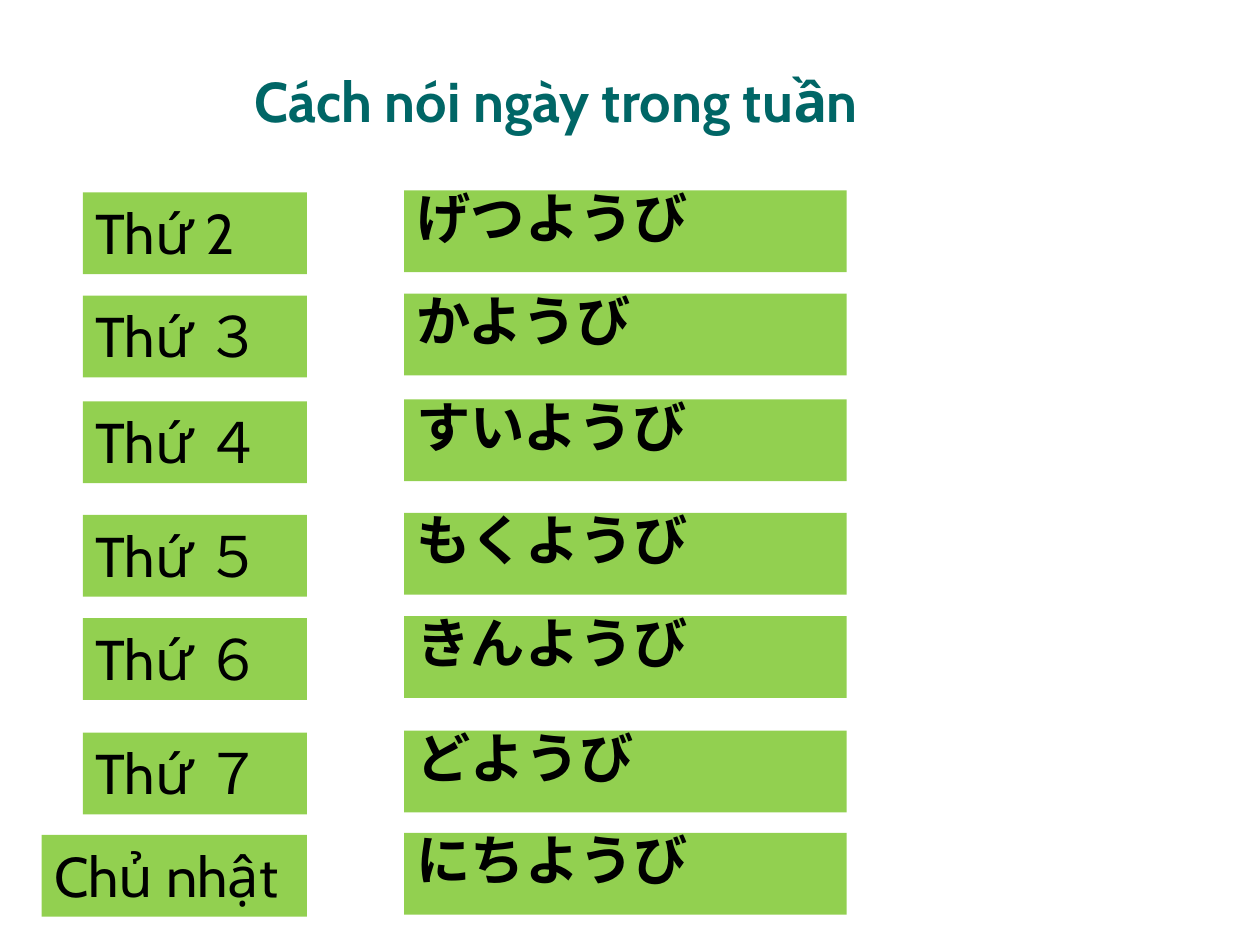
import pptx
import pptx.dml.color
import pptx.enum.shapes
import pptx.enum.text
import pptx.oxml.ns
import pptx.util
from lxml import etree

Cm = pptx.util.Cm
Pt = pptx.util.Pt

COLORS = {"title": "006666", "box": "92D050", "text": "000000"}
LATIN_FONT = "Cabin"
JAPANESE_FONT = "Noto Sans CJK JP"

# Top of each row in cm, Vietnamese day, Japanese day
DAYS = [
    (3.84, "Thứ 2", "げつようび"),
    (5.92, "Thứ ３", "かようび"),
    (8.05, "Thứ ４", "すいようび"),
    (10.34, "Thứ ５", "もくようび"),
    (12.42, "Thứ ６", "きんようび"),
    (14.73, "Thứ ７", "どようび"),
    (16.79, "Chủ nhật", "にちようび"),
]
ROW_HEIGHT = 1.65
VIETNAMESE_RIGHT = 6.19
VIETNAMESE_WIDTH = 4.52
SUNDAY_WIDTH = 5.35
VIETNAMESE_DROP = 0.04
JAPANESE_LEFT = 8.15
JAPANESE_WIDTH = 8.92


def rgb(name):
    return pptx.dml.color.RGBColor.from_string(COLORS[name])


def write_text(shape, text, size, font_name, color, bold=False):
    """Fill the shape with one left-aligned paragraph and return it."""
    shape.text_frame.word_wrap = True
    paragraph = shape.text_frame.paragraphs[0]
    paragraph.alignment = pptx.enum.text.PP_ALIGN.LEFT
    run = paragraph.add_run()
    run.text = text
    run.font.size = Pt(size)
    run.font.name = font_name
    run.font.bold = bold
    run.font.color.rgb = rgb(color)
    east_asian = etree.SubElement(run.font._element, pptx.oxml.ns.qn("a:ea"))
    east_asian.set("typeface", JAPANESE_FONT)
    return paragraph


def add_title(slide, left, top, width, height):
    title = slide.shapes.add_textbox(Cm(left), Cm(top), Cm(width), Cm(height))
    title.text_frame.vertical_anchor = pptx.enum.text.MSO_ANCHOR.MIDDLE
    write_text(title, "Cách nói ngày trong tuần", 32, LATIN_FONT, "title", bold=True)


def add_box(slide, left, top, width):
    """Add an empty green box of row height."""
    box = slide.shapes.add_shape(
        pptx.enum.shapes.MSO_SHAPE.RECTANGLE,
        Cm(left), Cm(top), Cm(width), Cm(ROW_HEIGHT),
    )
    box.shadow.inherit = False
    box.fill.solid()
    box.fill.fore_color.rgb = rgb("box")
    box.line.fill.background()
    box.text_frame.vertical_anchor = pptx.enum.text.MSO_ANCHOR.TOP
    return box


def add_day_row(slide, top, vietnamese, japanese, vietnamese_width):
    box = add_box(slide, VIETNAMESE_RIGHT - vietnamese_width,
                  top + VIETNAMESE_DROP, vietnamese_width)
    paragraph = write_text(box, vietnamese, 32, LATIN_FONT, "text")
    paragraph.space_before = Pt(20)

    box = add_box(slide, JAPANESE_LEFT, top, JAPANESE_WIDTH)
    paragraph = write_text(box, japanese, 31, JAPANESE_FONT, "text", bold=True)
    paragraph.space_before = Pt(25)
    paragraph.line_spacing = 0.8


def main():
    presentation = pptx.Presentation()
    presentation.slide_width = Cm(25.4)
    presentation.slide_height = Cm(19.05)
    slide = presentation.slides.add_slide(presentation.slide_layouts[6])

    add_title(slide, 4.88, 0.84, 19.48, 2.34)
    for top, vietnamese, japanese in DAYS:
        width = SUNDAY_WIDTH if vietnamese == "Chủ nhật" else VIETNAMESE_WIDTH
        add_day_row(slide, top, vietnamese, japanese, width)

    presentation.save("out.pptx")


if __name__ == "__main__":
    main()
